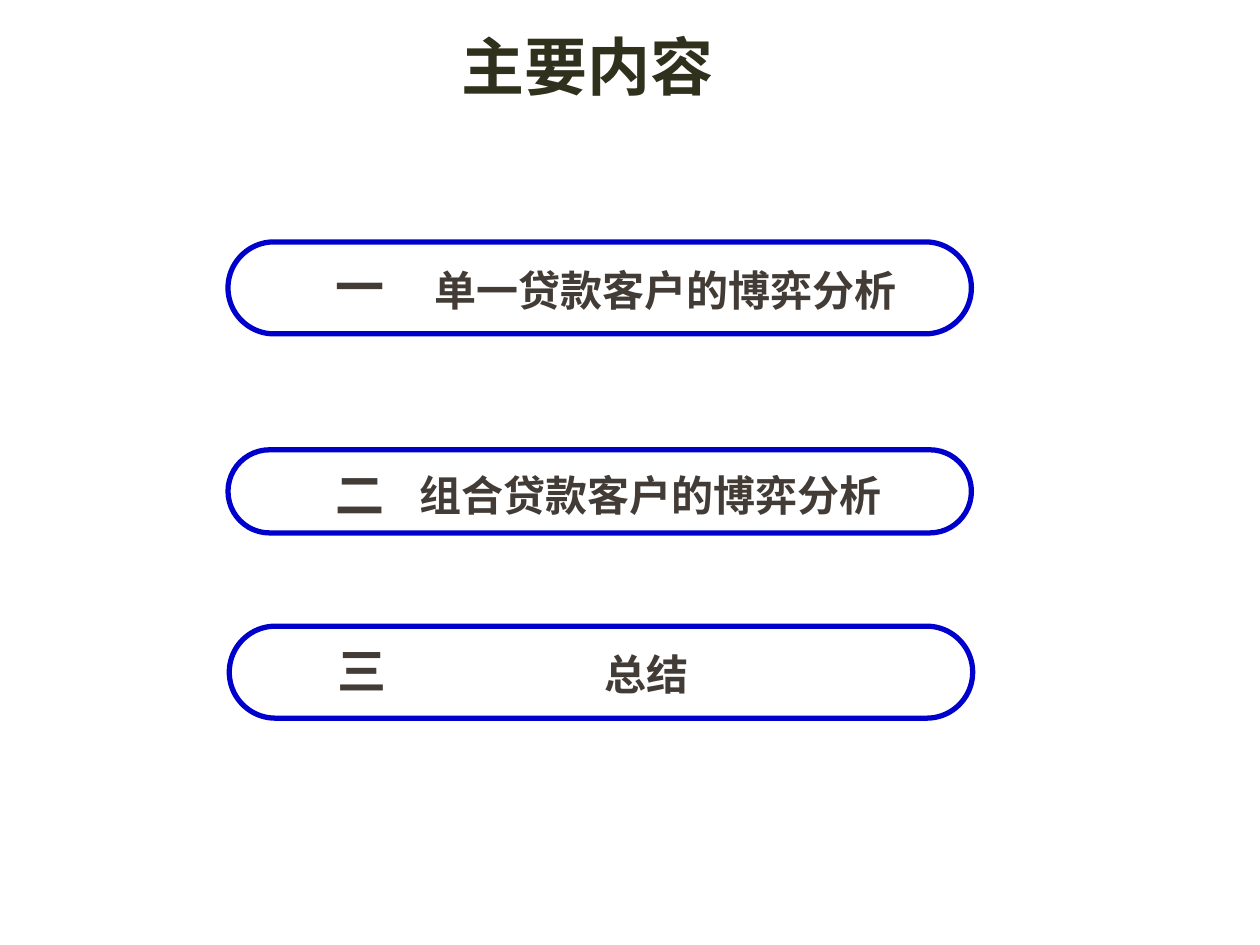
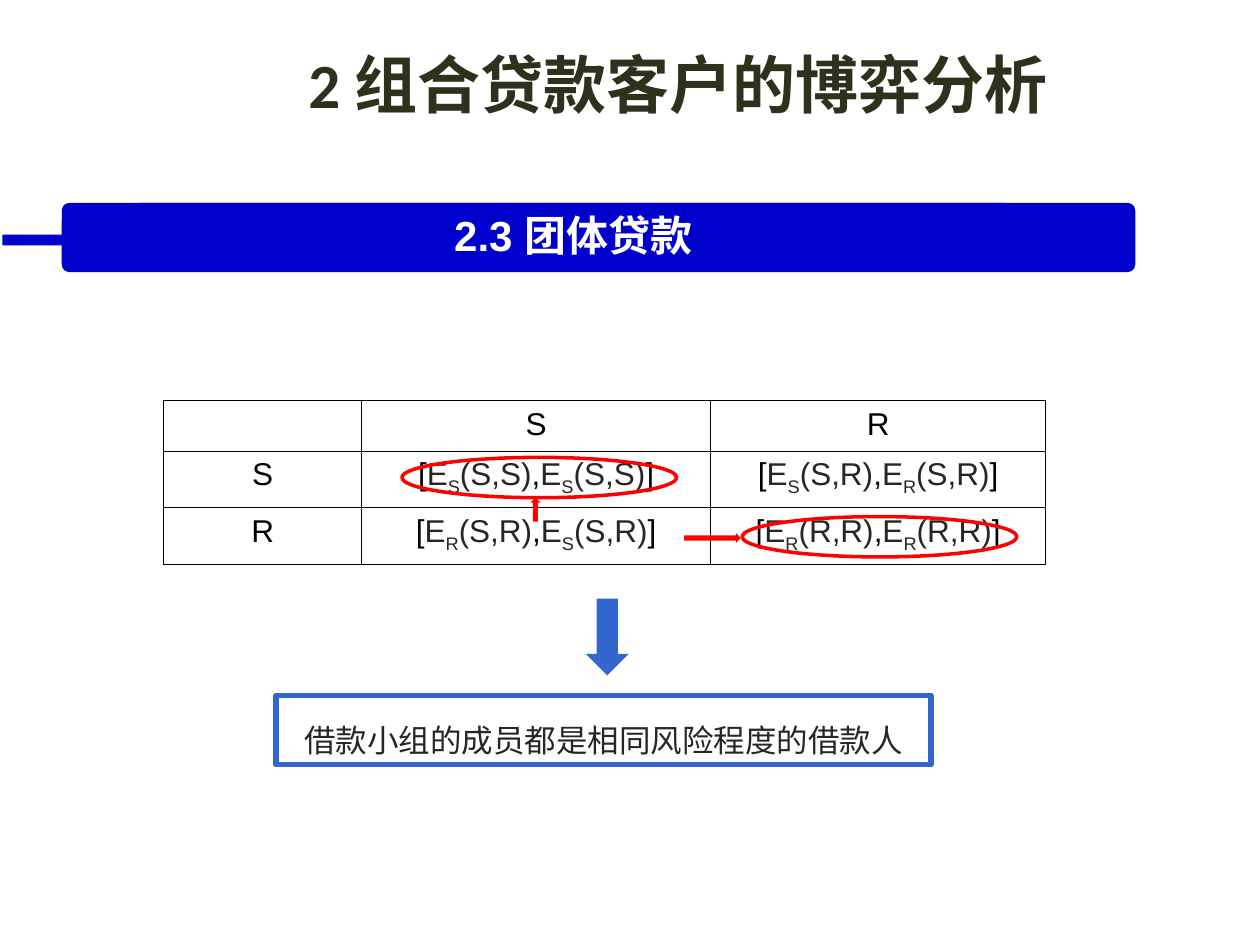
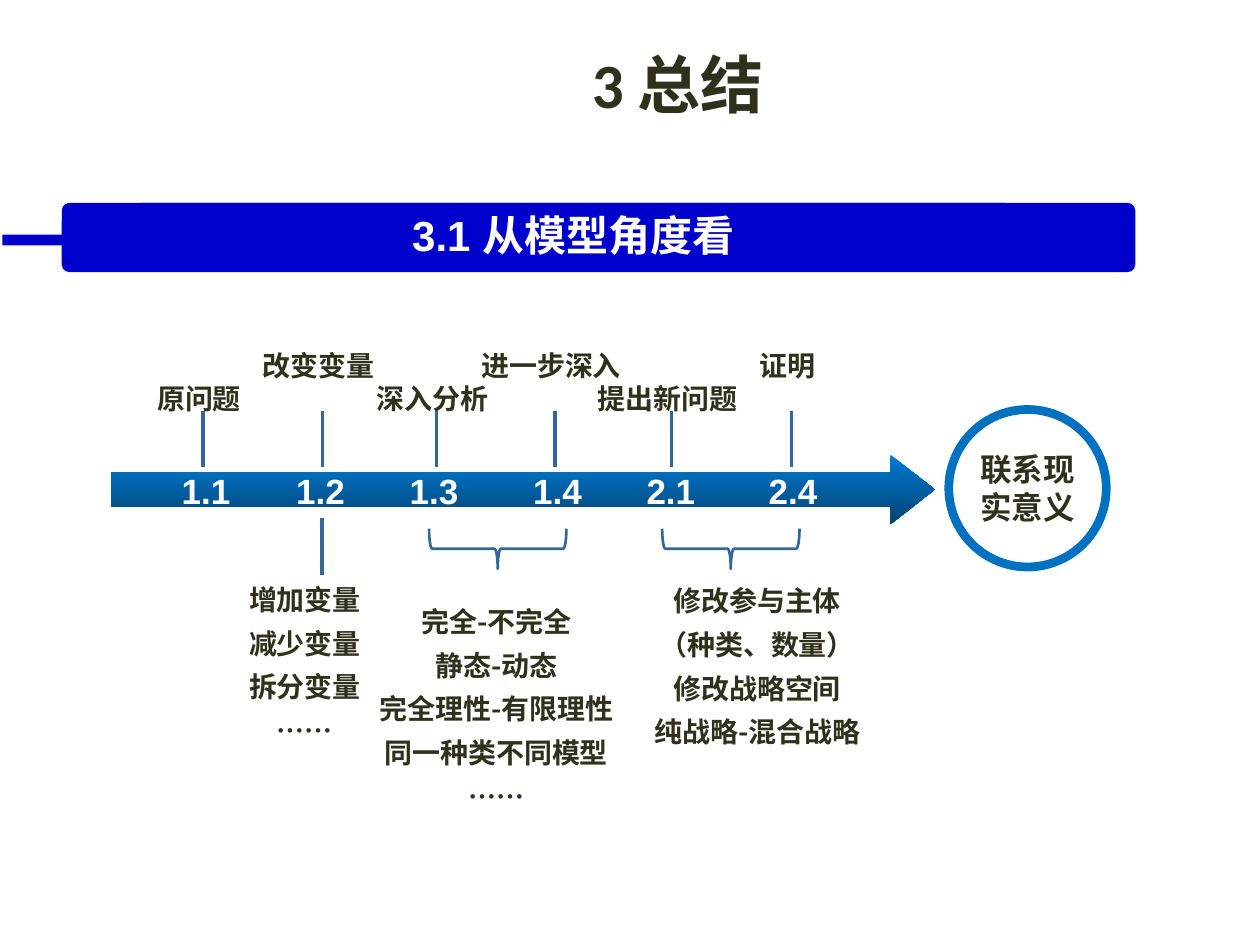
from lxml.etree import SubElement
from pptx import Presentation
from pptx.dml.color import RGBColor
from pptx.enum.shapes import MSO_CONNECTOR, MSO_SHAPE as SHAPE
from pptx.enum.text import MSO_ANCHOR as ANCHOR, PP_ALIGN
from pptx.oxml.ns import qn
from pptx.util import Inches, Pt

COLORS = {
    "title": "30311D", "item": "423B36", "body": "262626", "band": "0000CC",
    "accent": "3366CC", "mark": "FF0000", "line": "336699", "ring": "0070C0",
    "arrow_top": "007BD3", "arrow_bottom": "034373",
    "white": "FFFFFF", "black": "000000",
}
RGB = {name: RGBColor.from_string(value) for name, value in COLORS.items()}
CJK = "Noto Sans CJK SC"

prs = Presentation()
prs.slide_width, prs.slide_height = Inches(10), Inches(7.5)
# Every slide is laid out on a grid of 100 columns by 75 rows.
COL, ROW = prs.slide_width / 100, prs.slide_height / 75


def write(tf, lines, size, color, font=CJK, bold=True, anchor=ANCHOR.TOP, spacing=None):
    """Fill a text frame; a line is a string or a list of (text, color, baseline)."""
    tf.word_wrap = True
    tf.vertical_anchor = anchor
    for i, line in enumerate(lines):
        p = tf.paragraphs[0] if i == 0 else tf.add_paragraph()
        p.alignment = PP_ALIGN.CENTER
        if spacing:
            p.line_spacing = spacing
        runs = [(line, color, 0)] if isinstance(line, str) else line
        for text, run_color, baseline in runs:
            r = p.add_run()
            r.text = text
            r.font.name, r.font.size, r.font.bold = font, Pt(size), bold
            r.font.color.rgb = RGB[run_color]
            rPr = r.font._element
            SubElement(rPr, qn("a:ea")).set("typeface", CJK)
            if baseline:
                rPr.set("baseline", str(baseline))


def add(s, kind, x, y, w, h, fill=None, line=None, weight=1, adj=()):
    """Add a preset shape, or a text box when kind is None, placed in grid units."""
    box = [round(v) for v in (x * COL, y * ROW, w * COL, h * ROW)]
    if kind is None:
        return s.shapes.add_textbox(*box)
    sp = s.shapes.add_shape(kind, *box)
    sp.shadow.inherit = False
    for i, value in enumerate(adj):
        sp.adjustments[i] = value
    if fill:
        sp.fill.solid()
        sp.fill.fore_color.rgb = RGB[fill]
    else:
        sp.fill.background()
    if line:
        sp.line.color.rgb = RGB[line]
        sp.line.width = Pt(weight)
    else:
        sp.line.fill.background()
    return sp


blank = prs.slide_layouts[6]

# Slide 1: contents
s = prs.slides.add_slide(blank)
title = add(s, None, 18.6, 1.6, 56.1, 7.1)
write(title.text_frame, ["主要内容"], 36, "title", anchor=ANCHOR.MIDDLE)

items = [
    # numeral, heading, pill left, top and height, heading left and width
    ("一", "单一贷款客户的博弈分析", 18.1, 19.2, 7.3, 31.6, 42.4),
    ("二", "组合贷款客户的博弈分析", 18.1, 35.7, 6.6, 23.5, 56.3),
    ("三", "总结", 18.2, 49.7, 7.3, 31.8, 39),
]
for numeral, heading, x, y, h, heading_x, heading_w in items:
    add(s, SHAPE.ROUNDED_RECTANGLE, x, y, 59, h, line="band", weight=3, adj=[0.5])
    sp = add(s, None, heading_x, y + (1.3 if h > 7 else 1.1), heading_w, 5)
    write(sp.text_frame, [heading], 24, "item")
    sp = add(s, None, x + 2.3, y + 0.2, 16.4, 6.6)
    write(sp.text_frame, [numeral], 28, "item", anchor=ANCHOR.MIDDLE)

# Title and section band shared by slides 2 and 3
sections = []
for heading, section in [("2 组合贷款客户的博弈分析", "2.3 团体贷款"),
                         ("3 总结", "3.1 从模型角度看")]:
    s = prs.slides.add_slide(blank)
    add(s, SHAPE.ROUNDED_RECTANGLE, 4.9, 16.1, 85.2, 5.5, fill="band", adj=[0.11])
    add(s, SHAPE.RIGHT_ARROW, 0.2, 18.2, 9.3, 1.7, fill="band", adj=[0.5, 2.28])
    sp = add(s, SHAPE.RECTANGLE, 11.2, 16.1, 68.6, 5, fill="band")
    write(sp.text_frame, [section], 24, "white", font="Arial")
    title = add(s, None, 10.4, 3.1, 86.8, 7.1)
    write(title.text_frame, [heading], 36, "title", font="Calibri", anchor=ANCHOR.MIDDLE)
    sections.append(s)
group_loan, summary = sections

# Slide 2: payoff table
s = group_loan
col_widths, row_heights = [15.7, 27.7, 26.6], [4, 4.5, 4.5]
frame = s.shapes.add_table(3, 3, round(13 * COL), round(31.8 * ROW),
                           round(sum(col_widths) * COL), round(sum(row_heights) * ROW))
table = frame.table
table.first_row = table.horz_banding = False
for column, width in zip(table.columns, col_widths):
    column.width = round(width * COL)
for row, height in zip(table.rows, row_heights):
    row.height = round(height * ROW)

strategies = "SR"
for i, own in enumerate(" SR"):
    for j, other in enumerate(" SR"):
        cell = table.cell(i, j)
        if i and j:
            pair = "(S,R)" if own != other else f"({own},{own})"
            runs = [("[", "black", 0)]
            for player, end in ((own, ","), (other, "]")):
                runs += [("E", "body", 0), (player, "body", -25000),
                         (pair, "body", 0), (end, "black", 0)]
            write(cell.text_frame, [runs], 18, "black", "Arial", False)
        elif i or j:
            write(cell.text_frame, [own if i else other], 18, "black", "Arial", False)
        tcPr = cell._tc.get_or_add_tcPr()
        for side in ("lnL", "lnR", "lnT", "lnB"):
            ln = SubElement(tcPr, qn(f"a:{side}"), w=str(Pt(0.45)))
            fill = SubElement(ln, qn("a:solidFill"))
            SubElement(fill, qn("a:srgbClr"), val=COLORS["black"])
        cell.fill.background()

add(s, SHAPE.UP_ARROW, 42.1, 39.5, 0.8, 1.9, fill="mark", adj=[0.5, 0.5])
add(s, SHAPE.RIGHT_ARROW, 54.3, 42.3, 4.5, 0.8, fill="mark", adj=[0.5, 0.5])
for x, y in [(31.9, 36.3), (58.9, 41)]:
    add(s, SHAPE.OVAL, x, y, 21.8, 3.2, line="mark", weight=2)
add(s, SHAPE.DOWN_ARROW, 46.5, 47.5, 3.4, 6.1, fill="accent", adj=[0.5, 0.5])
conclusion = add(s, SHAPE.RECTANGLE, 21.9, 55.2, 52, 5.5, line="accent", weight=3)
write(conclusion.text_frame, ["借款小组的成员都是相同风险程度的借款人"], 18, "body",
      font="Arial", bold=False, spacing=1.5)

# Slide 3: timeline
s = summary
ring = add(s, SHAPE.OVAL, 75.3, 32.5, 12.5, 12.5, fill="white", line="ring", weight=5)
tf = ring.text_frame
tf.margin_left = tf.margin_right = tf.margin_top = tf.margin_bottom = 0
write(tf, ["联系现实意义"], 18, "title", anchor=ANCHOR.MIDDLE)

arrow = add(s, SHAPE.RIGHT_ARROW, 8.8, 36.1, 65.4, 5.5, adj=[0.49, 0.64])
arrow.fill.gradient()
arrow.fill.gradient_angle = 270
for stop, name in zip(arrow.fill.gradient_stops, ("arrow_top", "arrow_bottom")):
    stop.color.rgb = RGB[name]

steps = [
    # label, number, tick column, number column
    ("原问题", "1.1", 16.1, 16.35),
    ("改变变量", "1.2", 25.6, 25.45),
    ("深入分析", "1.3", 34.65, 34.45),
    ("进一步深入", "1.4", 44.05, 44.25),
    ("提出新问题", "2.1", 53.3, 53.25),
    ("证明", "2.4", 62.8, 62.95),
]
ticks = [(x, 32.6) for _, _, x, _ in steps] + [(25.55, 41.1)]
for x, y in ticks:
    tick = s.shapes.add_connector(MSO_CONNECTOR.STRAIGHT, round(x * COL), round(y * ROW),
                                  round(x * COL), round((y + 4.5) * ROW))
    tick.line.color.rgb = RGB["line"]
    tick.line.width = Pt(2)
    SubElement(tick._element.spPr, qn("a:effectLst"))

for i, (label, number, x, number_x) in enumerate(steps):
    sp = add(s, None, x - 7.6, 25.7 if i % 2 else 28.3, 14.6, 5.1)
    write(sp.text_frame, [label], 16, "title", anchor=ANCHOR.BOTTOM, spacing=1.3)
    sp = add(s, None, number_x - 3.15, 36.8, 6.3, 4.4)
    write(sp.text_frame, [number], 20, "white", font="Arial")

for center in (39.5, 58):
    brace = add(s, SHAPE.LEFT_BRACE, center - 1.6, 38.1, 3.2, 10.9,
                line="line", weight=1.5, adj=[0.08, 0.5])
    brace.rotation = 270

notes = [
    # left, bottom, width, lines
    (16.9, 59.8, 14.6, ["增加变量", "减少变量", "拆分变量", "……"]),
    (28.9, 65, 21, ["完全-不完全", "静态-动态", "完全理性-有限理性", "同一种类不同模型", "……"]),
    (49.2, 59.9, 21.8, ["修改参与主体", "（种类、数量）", "修改战略空间", "纯战略-混合战略"]),
]
for x, bottom, w, lines in notes:
    sp = add(s, None, x, bottom - 16, w, 16)
    write(sp.text_frame, lines, 16, "title", anchor=ANCHOR.BOTTOM, spacing=1.3)

prs.save("out.pptx")
